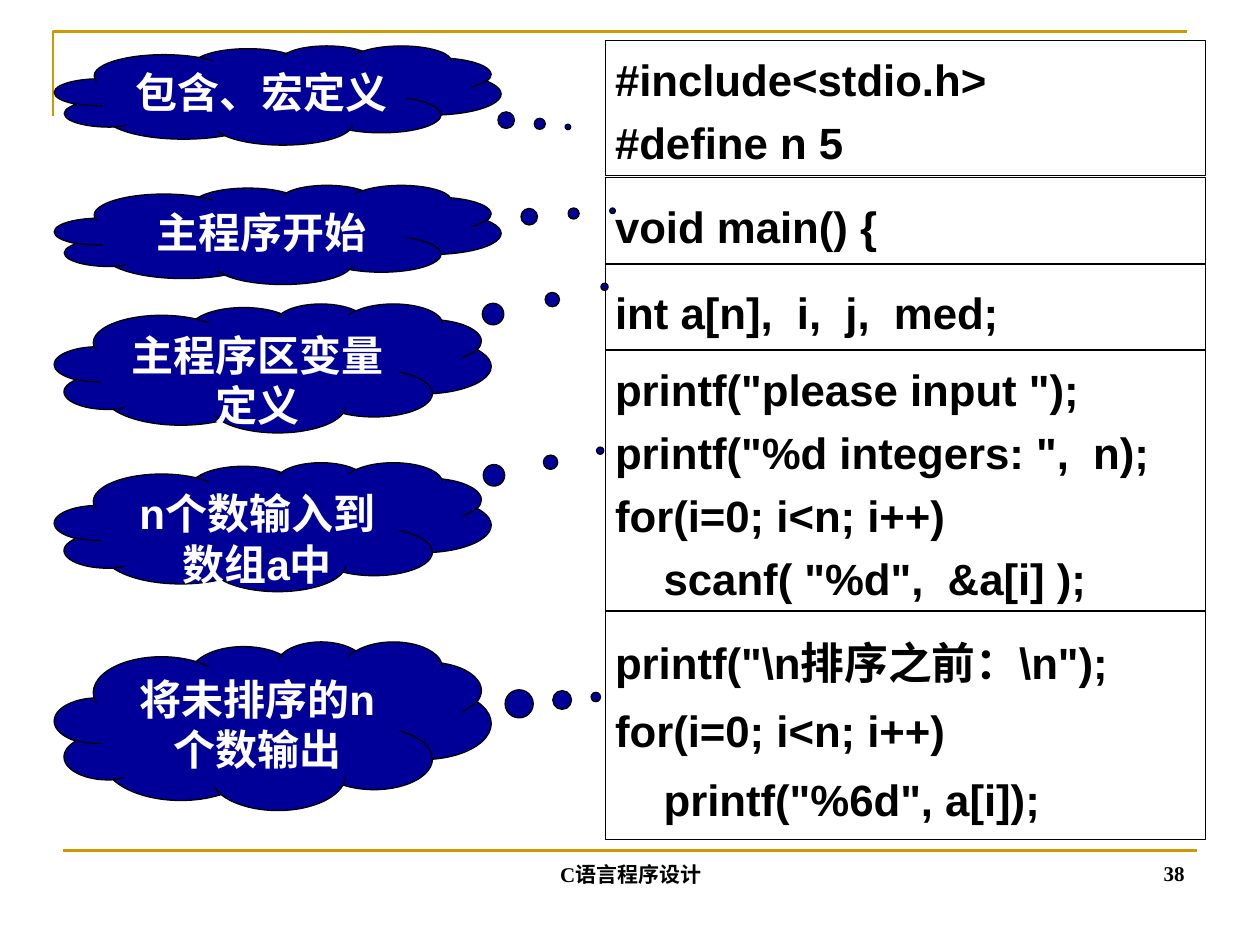
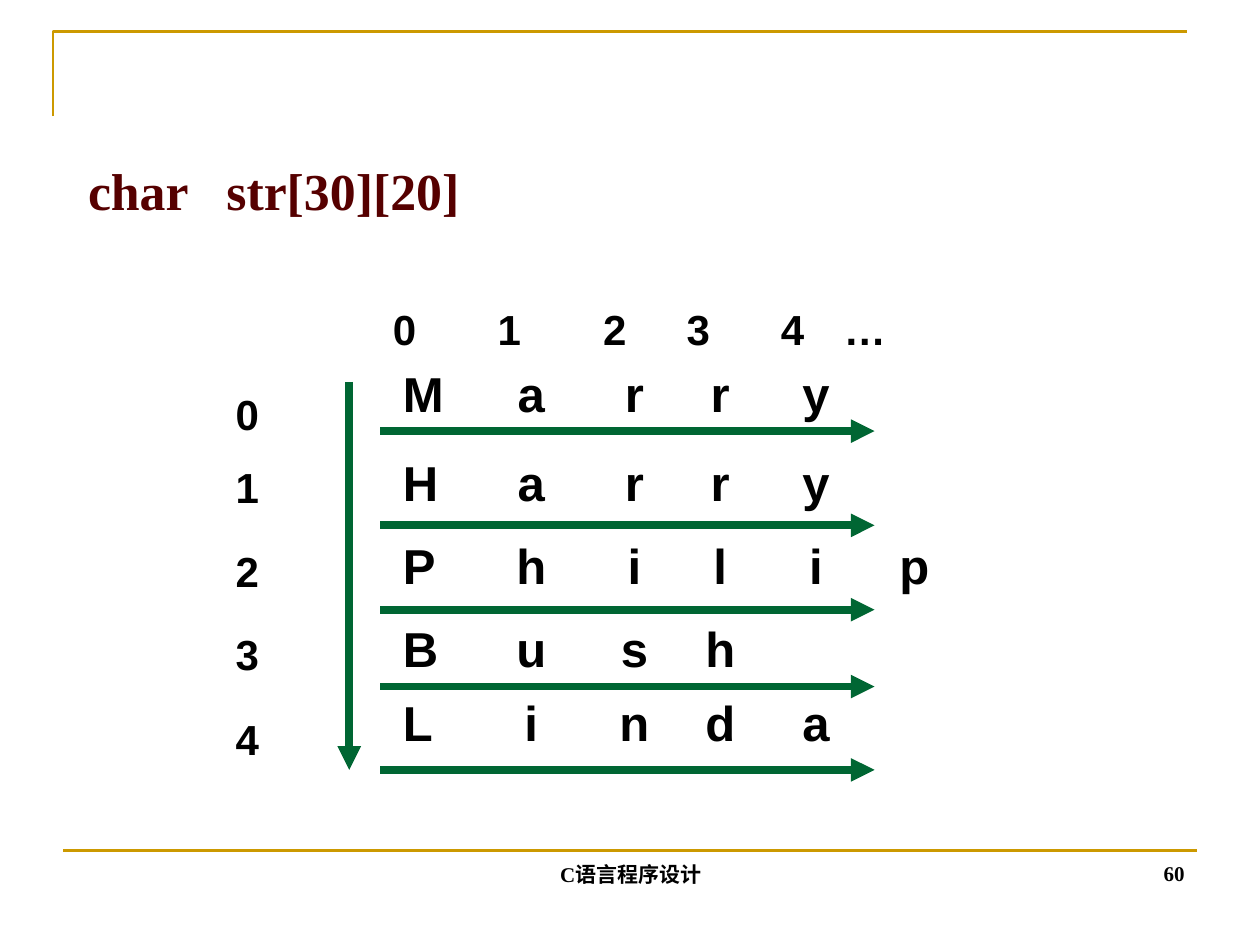
from lxml import etree
from pptx import Presentation
from pptx.dml.color import RGBColor
from pptx.enum.shapes import MSO_CONNECTOR, MSO_SHAPE
from pptx.enum.text import MSO_ANCHOR, MSO_AUTO_SIZE, PP_ALIGN
from pptx.oxml.ns import qn
from pptx.util import Cm, Pt

GOLD = RGBColor(0xCC, 0x99, 0x00)
NAVY = RGBColor(0x00, 0x00, 0x99)
GREEN = RGBColor(0x00, 0x66, 0x33)
MAROON = RGBColor(0x56, 0x00, 0x00)
BLACK = RGBColor(0x00, 0x00, 0x00)
WHITE = RGBColor(0xFF, 0xFF, 0xFF)

SANS = "Arial"
SERIF = "Times New Roman"
LEFT, CENTER, RIGHT = PP_ALIGN.LEFT, PP_ALIGN.CENTER, PP_ALIGN.RIGHT
TOP, MIDDLE, BOTTOM = MSO_ANCHOR.TOP, MSO_ANCHOR.MIDDLE, MSO_ANCHOR.BOTTOM
NO_AUTOFIT = MSO_AUTO_SIZE.NONE
STRAIGHT = MSO_CONNECTOR.STRAIGHT
RECTANGLE = MSO_SHAPE.RECTANGLE
CLOUD = MSO_SHAPE.CLOUD_CALLOUT

TITLE_ONLY_LAYOUT, BLANK_LAYOUT = 5, 6
FOOTER = "C语言程序设计"
CODE_INDENT = 0.98
LETTER_STOPS = (2.59, 4.67, 6.4, 8.33, 10.31)


def add_run(paragraph, text, size, color=BLACK, font=SANS):
    run = paragraph.add_run()
    run.text = text
    run.font.size = Pt(size)
    run.font.bold = True
    run.font.name = font
    run.font.color.rgb = color


def add_tab_stops(paragraph, stops, alignment):
    tab_list = etree.SubElement(paragraph._p.get_or_add_pPr(), qn("a:tabLst"))
    for stop in stops:
        etree.SubElement(tab_list, qn("a:tab"), pos=str(Cm(stop)), algn=alignment)


def prepare_frame(shape, anchor):
    frame = shape.text_frame
    frame.word_wrap = True
    frame.auto_size = NO_AUTOFIT
    frame.vertical_anchor = anchor
    return frame


def add_label(slide, box, text, size, anchor=MIDDLE, alignment=LEFT, font=SANS):
    shape = slide.shapes.add_textbox(*map(Cm, box))
    paragraph = prepare_frame(shape, anchor).paragraphs[0]
    paragraph.alignment = alignment
    add_run(paragraph, text, size, font=font)
    return paragraph


def add_line(slide, start, end, color, width, arrow=False):
    line = slide.shapes.add_connector(STRAIGHT, *map(Cm, start + end))
    line.line.color.rgb = color
    line.line.width = Pt(width)
    if arrow:
        etree.SubElement(line.line._get_or_add_ln(), qn("a:tailEnd"), type="triangle")
    etree.SubElement(line._element.spPr, qn("a:effectLst"))
    return line


def add_corner(slide):
    builder = slide.shapes.build_freeform(Cm(1.07), Cm(2.34))
    builder.add_line_segments(
        [(Cm(1.07), Cm(0.64)), (Cm(23.93), Cm(0.64))], close=False)
    corner = builder.convert_to_shape()
    corner.shadow.inherit = False
    corner.fill.background()
    corner.line.color.rgb = GOLD
    corner.line.width = Pt(1.5)
    return corner


def add_master_frame(presentation, slide):
    rule = add_line(slide, (1.27, 17.15), (24.13, 17.15), GOLD, 1.5)
    for shape in (add_corner(slide), rule):
        presentation.slide_master.shapes._spTree.append(shape._element)


def add_footer(slide, number):
    add_label(slide, (18.21, 16.71, 5.92, 1.27), number, 12, BOTTOM, RIGHT, SERIF)
    add_label(slide, (8.69, 16.74, 8.05, 1.27), FOOTER, 12, BOTTOM, CENTER, SERIF)


def add_outlined_shape(slide, kind, box):
    shape = slide.shapes.add_shape(kind, *map(Cm, box))
    shape.shadow.inherit = False
    shape.line.color.rgb = BLACK
    shape.line.width = Pt(0.75)
    return shape


def add_code_box(slide, top, height, spacing, lines):
    shape = add_outlined_shape(slide, RECTANGLE, (12.2, top, 12.1, height))
    shape.fill.background()
    frame = prepare_frame(shape, MIDDLE)
    frame.margin_left = frame.margin_right = Cm(0.2)
    frame.margin_top = frame.margin_bottom = 0
    for index, (text, level) in enumerate(lines):
        paragraph = frame.add_paragraph() if index else frame.paragraphs[0]
        paragraph.alignment = LEFT
        paragraph.line_spacing = spacing
        paragraph.space_before = Pt(3.1)
        if level:
            paragraph._p.get_or_add_pPr().set("marL", str(Cm(CODE_INDENT * level)))
        add_run(paragraph, text, 25)


def add_cloud(slide, top, width, height, pointer, text):
    shape = add_outlined_shape(slide, CLOUD, (1.1, top, width, height))
    shape.adjustments[0], shape.adjustments[1] = pointer
    shape.fill.solid()
    shape.fill.fore_color.rgb = NAVY
    paragraph = prepare_frame(shape, TOP).paragraphs[0]
    paragraph.alignment = CENTER
    add_run(paragraph, text, 24, WHITE)


def build_program_slide(slide):
    code_boxes = (
        (0.82, 2.72, 1.1, [("#include<stdio.h>", 0), ("#define n 5", 0)]),
        (3.58, 1.74, 1.2, [("void main() {", 0)]),
        (5.32, 1.74, 1.2, [("int a[n],  i,  j,  med;", 0)]),
        (7.06, 5.26, 1.1, [
            ('printf("please input ");', 0),
            ('printf("%d integers: ",  n);', 0),
            ("for(i=0; i<n; i++)", 0),
            ('scanf( "%d",  &a[i] );', 1)]),
        (12.32, 4.6, 1.2, [
            ('printf("\\n排序之前：\\n");', 0),
            ("for(i=0; i<n; i++)", 0),
            ('printf("%6d", a[i]);', 1)]),
    )
    clouds = (
        (0.92, 9, 2, (0.65, 0.32), "包含、宏定义"),
        (3.73, 9, 2, (0.75, -0.24), "主程序开始"),
        (6.12, 8.8, 2.6, (0.76, -0.63), "主程序区变量定义"),
        (9.32, 8.8, 2.6, (0.75, -0.59), "n个数输入到数组a中"),
        (12.93, 8.8, 3.4, (0.74, -0.17), "将未排序的n个数输出"),
    )
    for code_box in code_boxes:
        add_code_box(slide, *code_box)
    for cloud in clouds:
        add_cloud(slide, *cloud)
    add_footer(slide, "38")


def set_title(slide):
    title = slide.shapes.title
    title.left, title.top, title.width, title.height = map(Cm, (1.52, 3.07, 9.2, 1.6))
    paragraph = prepare_frame(title, TOP).paragraphs[0]
    paragraph.alignment = LEFT
    add_tab_stops(paragraph, [2.79], "l")
    add_run(paragraph, "char\tstr[30][20]", 29.6, MAROON, SERIF)


def build_array_slide(slide):
    set_title(slide)
    rows = (
        ("Marry", 7.21, 7.7, 8.69),
        ("Harry", 8.99, 9.17, 10.59),
        ("Philip", 10.67, 10.87, 12.29),
        ("Bush", 12.34, 12.55, 13.84),
        ("Linda", 13.84, 14.25, 15.52),
    )
    for index, (name, name_top, index_top, arrow_top) in enumerate(rows):
        add_line(slide, (7.67, arrow_top), (17.63, arrow_top), GREEN, 4.5, True)
        letters = add_label(
            slide, (7.87, name_top, 12.07, 1.45), "\t".join(name), 28, TOP)
        add_tab_stops(letters, LETTER_STOPS, "ctr")
        add_label(slide, (4.5, index_top, 1.9, 1.27), str(index), 24)
    add_line(slide, (7.04, 7.7), (7.04, 15.52), GREEN, 4.5, True)
    for text, left in zip("01234…", (7.67, 9.78, 11.91, 13.59, 15.49, 16.76)):
        add_label(slide, (left, 6, 1.9, 1.27), text, 24)
    add_footer(slide, "60")


def main():
    presentation = Presentation()
    presentation.slide_width, presentation.slide_height = Cm(25.4), Cm(19.05)
    layouts = presentation.slide_layouts
    program_slide = presentation.slides.add_slide(layouts[BLANK_LAYOUT])
    add_master_frame(presentation, program_slide)
    build_program_slide(program_slide)
    build_array_slide(presentation.slides.add_slide(layouts[TITLE_ONLY_LAYOUT]))
    presentation.save("out.pptx")


main()
